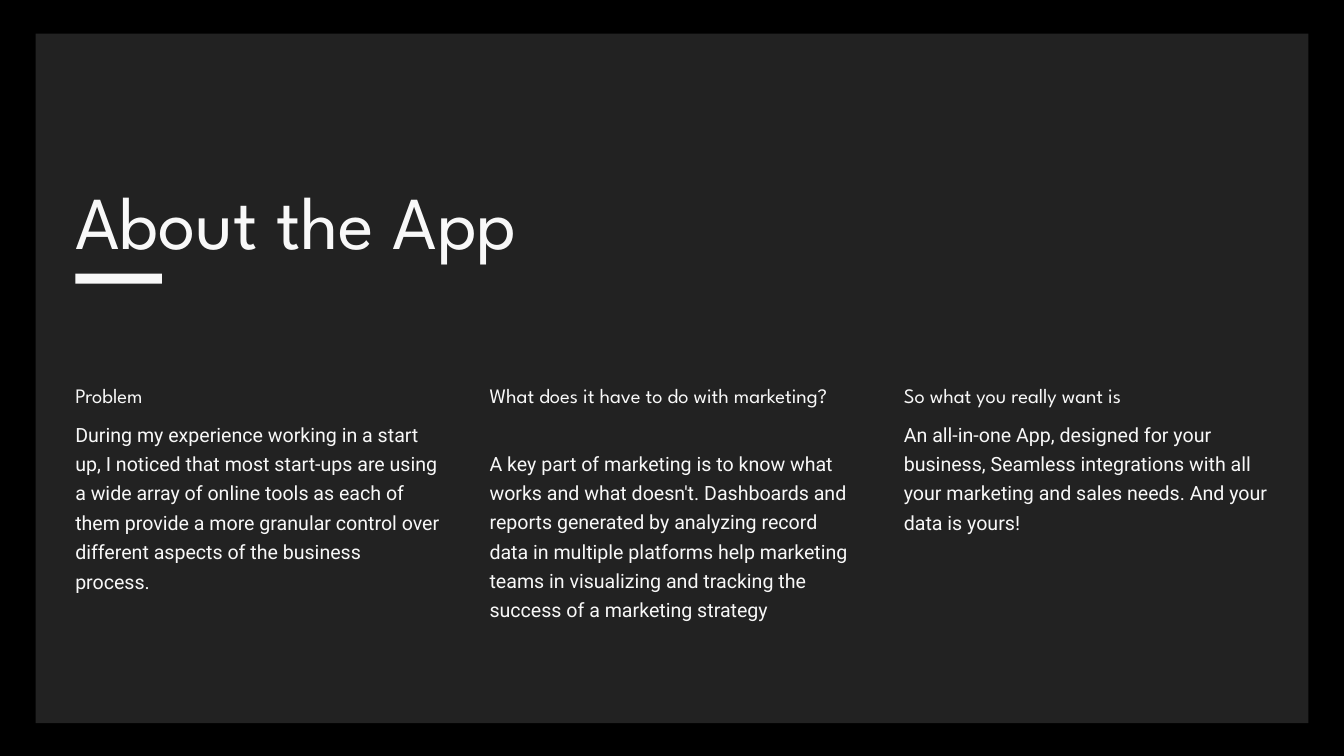
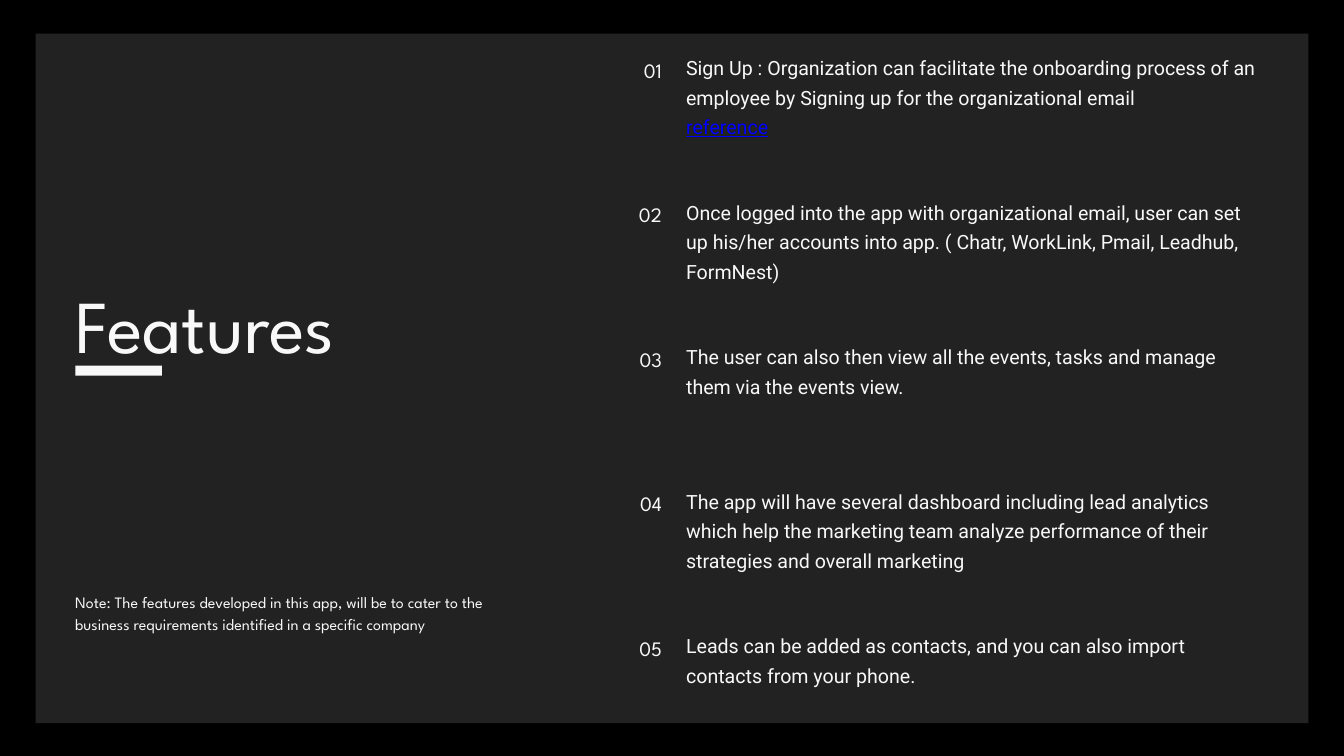
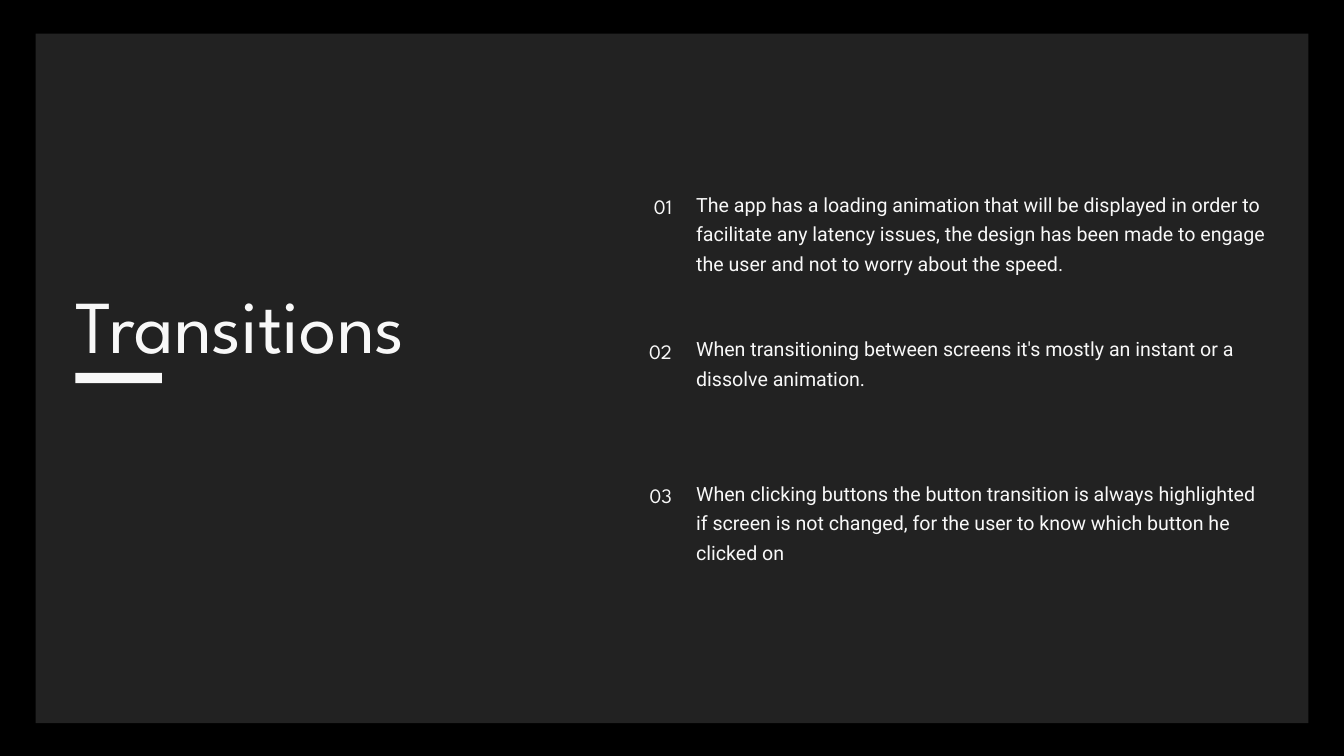
from pptx import Presentation
from pptx.dml.color import RGBColor
from pptx.enum.shapes import MSO_SHAPE
from pptx.enum.text import MSO_ANCHOR, MSO_AUTO_SIZE, PP_ALIGN
from pptx.util import Inches, Pt

RECTANGLE = MSO_SHAPE.RECTANGLE
LEFT, RIGHT = PP_ALIGN.LEFT, PP_ALIGN.RIGHT
TOP = MSO_ANCHOR.TOP
GROW = MSO_AUTO_SIZE.SHAPE_TO_FIT_TEXT
TITLE_ONLY = 5

BLACK, PANEL, WHITE, BLUE = "000000", "222222", "F8F8F8", "0000FF"

TITLE_STYLE = ("League Spartan", 80, 88)
HEADING_STYLE = ("League Spartan", 22, 30.8)
BODY_STYLE = ("Roboto", 21, 31.5)
NOTE_STYLE = ("League Spartan", 17, 23.8)

MARGIN = 1.12
LINE = 0.43
COLUMN_PITCH = 6.165
COLUMN_WIDTH = 5.42
COLUMN_TOP = 5.64
ITEM_PITCH = 2.15

# Each column: heading, lines kept for it, body, lines of body
COLUMNS = [
    ("Problem", 1,
     "During my experience working in a start up, I noticed that most start-ups are using "
     "a wide array of online tools as each of them provide a more granular control over "
     "different aspects of the business process.", 6),
    ("What does it have to do with marketing?", 2,
     "A key part of marketing is to know what works and what doesn't. Dashboards and "
     "reports generated by analyzing record data in multiple platforms help marketing "
     "teams in visualizing and tracking the success of a marketing strategy", 7),
    ("So what you really want is", 1,
     "An all-in-one App, designed for your business, Seamless integrations with all your "
     "marketing and sales needs. And your data is yours!", 4),
]

FEATURES = [
    (["Sign Up : Organization can facilitate the onboarding process of an employee by "
      "Signing up for the organizational email", "reference"], 3),
    (["Once logged into the app with organizational email, user can set up his/her "
      "accounts into app. ( Chatr, WorkLink, Pmail, Leadhub, FormNest)"], 3),
    (["The user can also then view all the events, tasks and manage them via the "
      "events view."], 2),
    (["The app will have several dashboard including lead analytics which help the "
      "marketing team analyze performance of their strategies and overall marketing"], 3),
    (["Leads can be added as contacts, and you can also import contacts from your "
      "phone."], 2),
]

FEATURES_NOTE = ("Note: The features developed in this app, will be to cater to the "
                 "business requirements identified in a specific company")

TRANSITIONS = [
    (["The app has a loading animation that will be displayed in order to facilitate any "
      "latency issues, the design has been made to engage the user and not to worry "
      "about the speed."], 3),
    (["When transitioning between screens it's mostly an instant or a dissolve "
      "animation."], 2),
    (["When clicking buttons the button transition is always highlighted if screen is "
      "not changed, for the user to know which button he clicked on"], 3),
]


def color(value):
    return RGBColor.from_string(value)


def write_text(shape, paragraphs, style, alignment=LEFT):
    font_name, size, line_spacing = style
    frame = shape.text_frame
    frame.margin_left = frame.margin_right = frame.margin_top = frame.margin_bottom = 0
    frame.word_wrap = True
    frame.auto_size = GROW
    frame.vertical_anchor = TOP
    frame.text = "\n".join(paragraphs)
    for paragraph in frame.paragraphs:
        paragraph.alignment = alignment
        paragraph.line_spacing = Pt(line_spacing)
        for run in paragraph.runs:
            run.font.name = font_name
            run.font.size = Pt(size)
            run.font.color.rgb = color(WHITE)


def add_text(slide, left, top, width, height, paragraphs, style, alignment=LEFT):
    box = slide.shapes.add_textbox(Inches(left), Inches(top), Inches(width), Inches(height))
    write_text(box, paragraphs, style, alignment)
    return box


def add_rectangle(slide, left, top, width, height, fill):
    shape = slide.shapes.add_shape(
        RECTANGLE, Inches(left), Inches(top), Inches(width), Inches(height))
    shape.shadow.inherit = False
    shape.fill.solid()
    shape.fill.fore_color.rgb = color(fill)
    shape.line.fill.background()
    return shape


def add_slide(presentation, heading, title_top, title_width, bar_top):
    slide = presentation.slides.add_slide(presentation.slide_layouts[TITLE_ONLY])
    title = slide.shapes.title
    title.left, title.top = Inches(MARGIN), Inches(title_top)
    title.width, title.height = Inches(title_width), Inches(1.26)
    write_text(title, [heading], TITLE_STYLE)
    panel = add_rectangle(slide, 0.53, 0.5, 18.94, 10.26, PANEL)
    title.element.addprevious(panel.element)
    add_rectangle(slide, MARGIN, bar_top, 1.29, 0.15, WHITE)
    return slide


def add_columns(slide, columns):
    for index, (heading, heading_lines, body, body_lines) in enumerate(columns):
        left = MARGIN + index * COLUMN_PITCH
        body_top = COLUMN_TOP + heading_lines * LINE + 0.13
        add_text(slide, left, COLUMN_TOP, COLUMN_WIDTH, heading_lines * 0.41,
                 [heading], HEADING_STYLE)
        add_text(slide, left, body_top, COLUMN_WIDTH, body_lines * LINE, [body], BODY_STYLE)


def add_numbered_items(slide, items, left, first_top):
    boxes = []
    for index, (paragraphs, lines) in enumerate(items):
        top = first_top + index * ITEM_PITCH
        add_text(slide, left, top + 0.05, 0.51, 0.42, [f"{index + 1:02}"],
                 HEADING_STYLE, RIGHT)
        boxes.append(add_text(slide, left + 0.87, top, 8.52, lines * LINE,
                              paragraphs, BODY_STYLE))
    return boxes


def main():
    """Build the three app slides and save them."""
    presentation = Presentation()
    presentation.slide_width, presentation.slide_height = Inches(20), Inches(11.25)
    background = presentation.slide_master.background.fill
    background.solid()
    background.fore_color.rgb = color(BLACK)

    about = add_slide(presentation, "About the App", 2.72, 16.11, 4.07)
    add_columns(about, COLUMNS)

    features = add_slide(presentation, "Features", 4.26, 7.6, 5.44)
    feature_boxes = add_numbered_items(features, FEATURES, 9.34, 0.75)
    reference = feature_boxes[0].text_frame.paragraphs[1].runs[0]
    reference.font.color.rgb = color(BLUE)
    reference.font.underline = True
    add_text(features, MARGIN, 8.77, 6.47, 0.95, [FEATURES_NOTE], NOTE_STYLE)

    transitions = add_slide(presentation, "Transitions", 4.26, 7.6, 5.55)
    add_numbered_items(transitions, TRANSITIONS, 9.49, 2.78)

    presentation.save("out.pptx")


if __name__ == "__main__":
    main()
